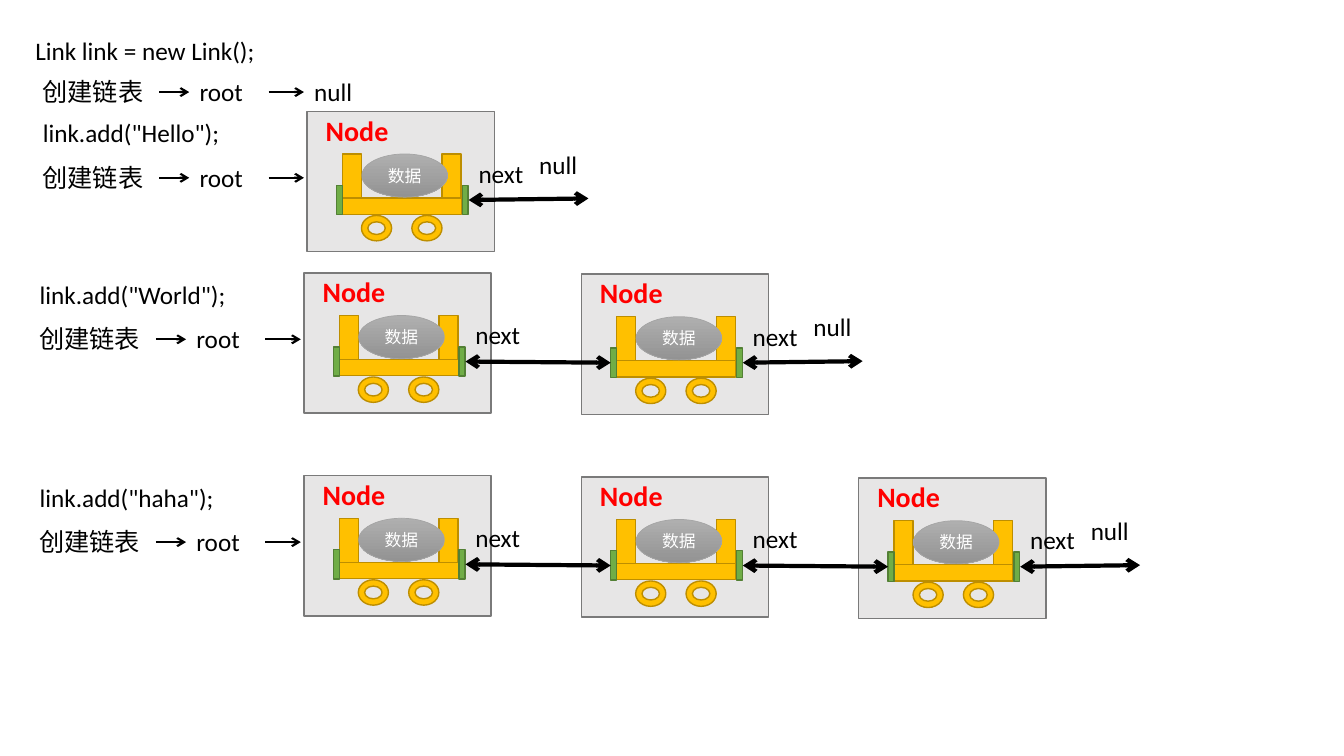
from lxml import etree
from pptx import Presentation
from pptx.dml.color import RGBColor
from pptx.enum.shapes import MSO_CONNECTOR, MSO_SHAPE
from pptx.enum.text import MSO_ANCHOR, MSO_AUTO_SIZE, PP_ALIGN
from pptx.oxml.ns import qn
from pptx.util import Cm, Pt

BLACK = RGBColor(0x00, 0x00, 0x00)
WHITE = RGBColor(0xFF, 0xFF, 0xFF)
RED = RGBColor(0xFF, 0x00, 0x00)
PALE = RGBColor(0xE7, 0xE6, 0xE6)
FRAME = RGBColor(0x7A, 0x7A, 0x7A)
GOLD = RGBColor(0xFF, 0xC0, 0x00)
DARK_GOLD = RGBColor(0xBD, 0x8E, 0x00)
GREEN = RGBColor(0x70, 0xAD, 0x47)
DARK_GREEN = RGBColor(0x53, 0x80, 0x35)
GREY = RGBColor(0xA5, 0xA5, 0xA5)
LIGHT_GREY = RGBColor(0xAF, 0xAF, 0xAF)
DARK_GREY = RGBColor(0x93, 0x93, 0x93)

# Shape, left, top, width, height (cm from the node corner), fill, line
NODE_PARTS = [
    (MSO_SHAPE.RECTANGLE, 0, 0, 4.72, 3.53, PALE, FRAME),
    (MSO_SHAPE.RECTANGLE, 0.89, 1.07, 0.48, 1.14, GOLD, DARK_GOLD),
    (MSO_SHAPE.RECTANGLE, 3.4, 1.07, 0.48, 1.14, GOLD, DARK_GOLD),
    (MSO_SHAPE.RECTANGLE, 0.89, 2.18, 3, 0.41, GOLD, DARK_GOLD),
    (MSO_SHAPE.DONUT, 1.37, 2.62, 0.76, 0.64, GOLD, DARK_GOLD),
    (MSO_SHAPE.DONUT, 2.64, 2.62, 0.76, 0.64, GOLD, DARK_GOLD),
    (MSO_SHAPE.RECTANGLE, 3.91, 1.86, 0.15, 0.74, GREEN, DARK_GREEN),
    (MSO_SHAPE.RECTANGLE, 0.74, 1.86, 0.15, 0.74, GREEN, DARK_GREEN),
]

# Command, its left, top and width, first node left and top, number of nodes
ROWS = [
    ("Link link = new Link();", 0.64, 0.76, 6.17, 7.74, 0.65, 0),
    ('link.add("Hello");', 0.83, 2.84, 5, 7.74, 2.81, 1),
    ('link.add("World");', 0.75, 6.91, 5.26, 7.66, 6.88, 2),
    ('link.add("haha");', 0.75, 12.02, 4.95, 7.66, 11.99, 3),
]
NODE_STEP_X, NODE_STEP_Y = 6.99, 0.03


def add_label(shapes, text, x, y, w, h=1.02, wrap=True):
    """Add a one-line text box and return its paragraph."""
    tf = shapes.add_textbox(Cm(x), Cm(y), Cm(w), Cm(h)).text_frame
    tf.word_wrap = wrap
    tf.auto_size = MSO_AUTO_SIZE.SHAPE_TO_FIT_TEXT
    p = tf.paragraphs[0]
    p.text = text
    p.font.name, p.font.size, p.font.color.rgb = "Calibri", Pt(18), BLACK
    return p


def add_arrow(shapes, x1, y1, x2, y2, width, ends):
    """Add a black arrow with open heads at the given ends."""
    line = shapes.add_connector(MSO_CONNECTOR.STRAIGHT, Cm(x1), Cm(y1), Cm(x2), Cm(y2))
    line.line.color.rgb = BLACK
    line.line.width = Pt(width)
    for end in ends:
        etree.SubElement(line.line._get_or_add_ln(), qn(f"a:{end}"), type="arrow")
    etree.SubElement(line._element.spPr, qn("a:effectLst"))


prs = Presentation()
prs.slide_width, prs.slide_height = Cm(33.87), Cm(19.05)
s = prs.slides.add_slide(prs.slide_layouts[6])

for command, command_x, command_y, command_w, left, top, count in ROWS:
    add_label(s.shapes, command, command_x, command_y, command_w, wrap=False)
    add_label(s.shapes, "创建链表", left - 6.92, top + 1.15, 3.2)
    add_label(s.shapes, "root", left - 2.96, top + 1.15, 1.98)
    for start, end in ((-3.73, -2.97), (-0.97, -0.08)):
        add_arrow(s.shapes, left + start, top + 1.67, left + end, top + 1.67, 1.5, ["tailEnd"])
    if count == 0:
        add_label(s.shapes, "null", left - 0.07, top + 1.15, 1.78)

    corners = [(left + i * NODE_STEP_X, top + i * NODE_STEP_Y) for i in range(count)]
    for x, y in corners:
        node = s.shapes.add_group_shape()
        for kind, dx, dy, w, h, fill, line in NODE_PARTS:
            part = node.shapes.add_shape(kind, Cm(x + dx), Cm(y + dy), Cm(w), Cm(h))
            part.shadow.inherit = False
            part.fill.solid()
            part.fill.fore_color.rgb = fill
            part.line.color.rgb = line
            part.line.width = Pt(1)
        p = add_label(node.shapes, "Node", x + 0.22, y - 0.08, 3.56, 0.81)
        p.font.size, p.font.bold, p.font.color.rgb = Pt(20), True, RED

        data = s.shapes.add_shape(MSO_SHAPE.OVAL, Cm(x + 1.38), Cm(y + 1.07), Cm(2.16), Cm(1.09))
        data.shadow.inherit = False
        data.fill.gradient()
        data.fill.gradient_angle = 270
        for stop, color in zip(data.fill.gradient_stops, (LIGHT_GREY, DARK_GREY)):
            stop.color.rgb = color
        data.line.color.rgb = GREY
        data.line.width = Pt(0.5)
        tf = data.text_frame
        tf.vertical_anchor = MSO_ANCHOR.MIDDLE
        p = tf.paragraphs[0]
        p.text = "数据"
        p.alignment = PP_ALIGN.CENTER
        p.font.name, p.font.size, p.font.color.rgb = "Calibri", Pt(12), WHITE

    # Links come after all nodes so that they lie on top of them
    for i, (x, y) in enumerate(corners):
        add_label(s.shapes, "next", x + 4.07, y + 1.05, 1.65, wrap=False)
        if i == count - 1:
            add_label(s.shapes, "null", x + 5.6, y + 0.82, 1.48, wrap=False)
            end_x, end_y = x + 7.09, y + 2.19
        else:
            end_x, end_y = x + NODE_STEP_X + 0.74, y + NODE_STEP_Y + 2.23
        add_arrow(s.shapes, x + 4.07, y + 2.23, end_x, end_y, 3, ["headEnd", "tailEnd"])

prs.save("out.pptx")
